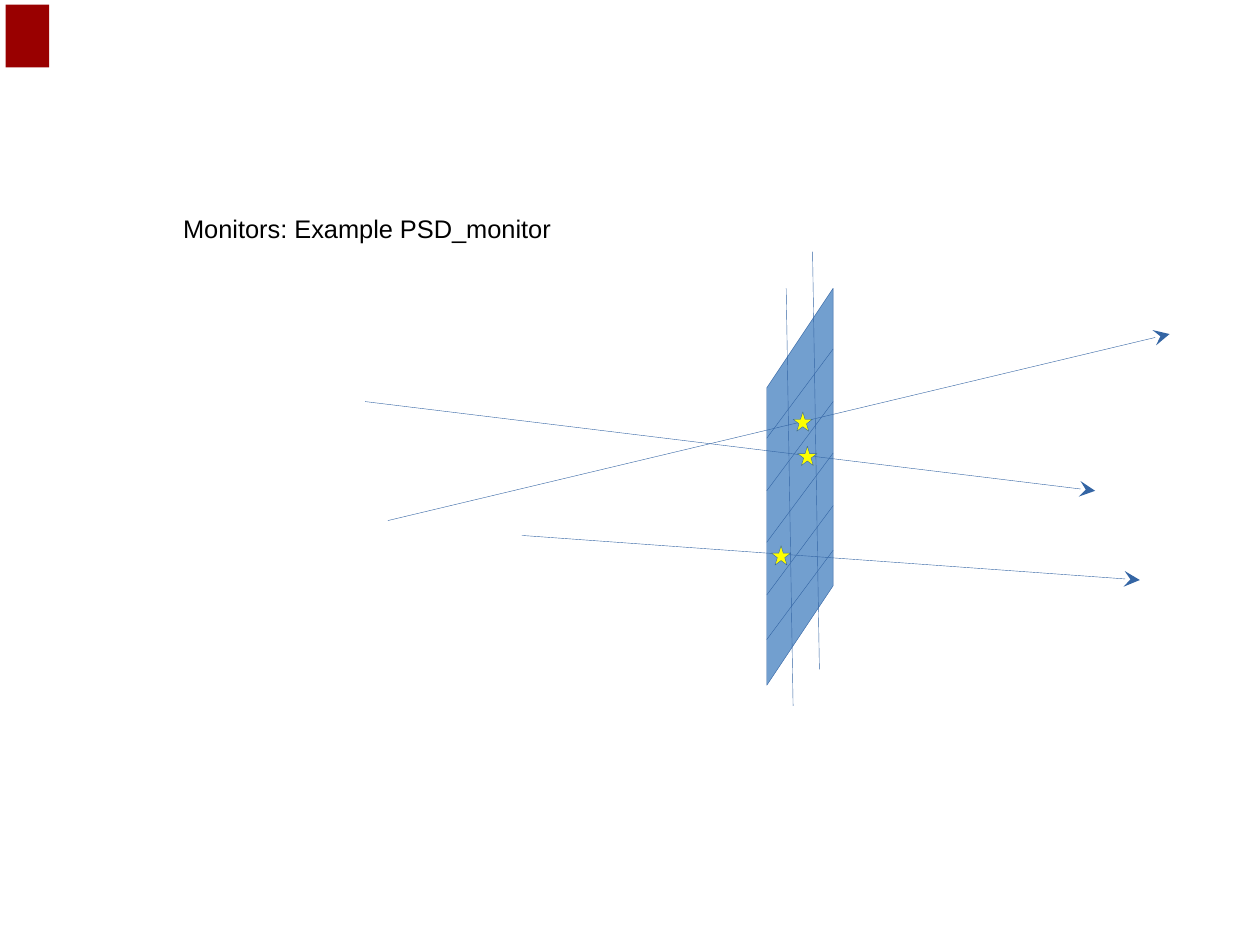
import pptx
import pptx.util
import pptx.dml.color
import pptx.enum.shapes
import pptx.enum.text
import pptx.oxml
import pptx.oxml.ns

Inches = pptx.util.Inches
BLUE = "3465A4"


def color(value):
    return pptx.dml.color.RGBColor.from_string(value)


def paint(s, fill, line=None):
    s.shadow.inherit = False
    s.fill.solid()
    s.fill.fore_color.rgb = color(fill)
    if line:
        s.line.color.rgb = color(line)
        s.line.width = pptx.util.Pt(0.25)
    else:
        s.line.fill.background()


def add_preset(slide, kind, box, fill, line=None):
    s = slide.shapes.add_shape(kind, *map(Inches, box))
    paint(s, fill, line)


def add_title(slide, box, text):
    tf = slide.shapes.add_textbox(*map(Inches, box)).text_frame
    frame = {"margin_left": 0, "margin_top": 0, "margin_right": 0,
             "margin_bottom": 0, "word_wrap": True,
             "auto_size": pptx.enum.text.MSO_AUTO_SIZE.SHAPE_TO_FIT_TEXT}
    for name, value in frame.items():
        setattr(tf, name, value)
    r = tf.paragraphs[0].add_run()
    r.text = text
    for name, value in {"name": "Arial", "size": pptx.util.Pt(16)}.items():
        setattr(r.font, name, value)
    r.font.color.rgb = color("000000")


def add_panel(slide, points):
    points = [(Inches(x), Inches(y)) for x, y in points]
    builder = slide.shapes.build_freeform(*points[0], scale=1.0)
    builder.add_line_segments(points[1:], close=True)
    paint(builder.convert_to_shape(), "729FCF", BLUE)


def add_line(slide, start, end, arrow=False):
    s = slide.shapes.add_connector(
        pptx.enum.shapes.MSO_CONNECTOR.STRAIGHT, *map(Inches, start + end))
    s.line.color.rgb = color(BLUE)
    s.line.width = pptx.util.Pt(0.25)
    if arrow:
        tail = pptx.oxml.parse_xml(
            f'<a:tailEnd {pptx.oxml.ns.nsdecls("a")} type="stealth" w="lg" len="lg"/>')
        s.line._get_or_add_ln().append(tail)
    effects = pptx.oxml.parse_xml(f'<a:effectLst {pptx.oxml.ns.nsdecls("a")}/>')
    s._element.spPr.append(effects)


def main():
    prs = pptx.Presentation()
    prs.slide_width, prs.slide_height = Inches(11.01), Inches(8.26)
    slide = prs.slides.add_slide(prs.slide_layouts[6])
    shapes = pptx.enum.shapes.MSO_SHAPE

    add_preset(slide, shapes.RECTANGLE, (0.05, 0.04, 0.38, 0.55), "990000")
    add_title(slide, (1.6, 1.86, 8.42, 0.24), "Monitors: Example PSD_monitor")

    left, right = 6.7, 7.28
    add_panel(slide, [(right, 5.12), (right, 2.52), (left, 3.39), (left, 5.99)])

    rays = [((3.39, 4.55), (10.22, 2.92)),
            ((4.56, 4.68), (9.96, 5.07)),
            ((3.19, 3.51), (9.57, 4.29))]
    for start, end in rays:
        add_line(slide, start, end, arrow=True)

    for x, y in [(6.93, 3.6), (6.97, 3.9), (6.74, 4.77)]:
        add_preset(slide, shapes.STAR_5_POINT, (x, y, 0.17, 0.17), "FFFF00", BLUE)

    for y in (3.83, 4.29, 4.74, 5.2, 5.59):
        add_line(slide, (left, y), (right, y - 0.78))
    for x, y in [(6.87, 2.52), (7.1, 2.2)]:
        add_line(slide, (x, y), (x + 0.06, y + 3.65))

    prs.save("out.pptx")


if __name__ == "__main__":
    main()
